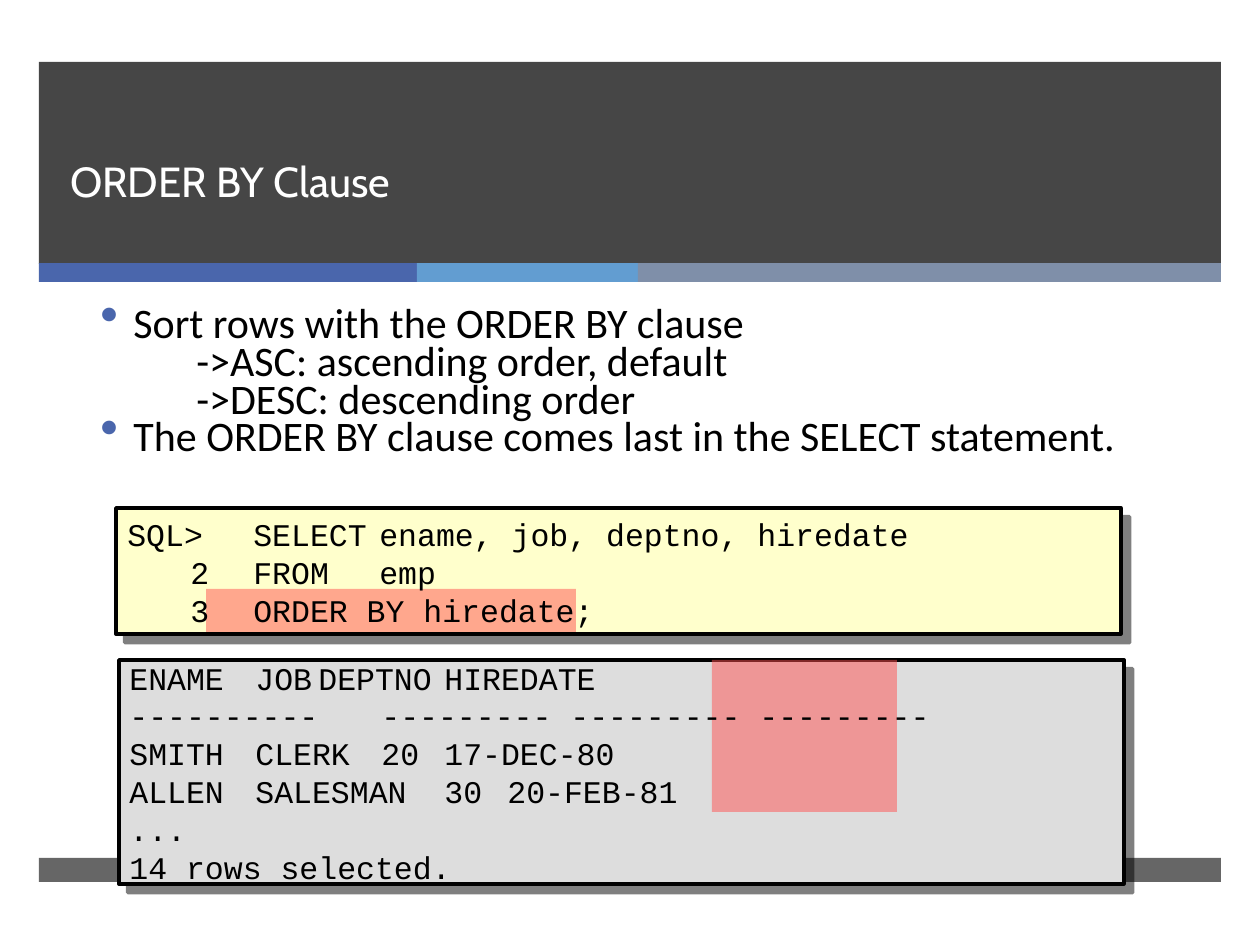
from lxml import etree
from pptx import Presentation
from pptx import util as u
from pptx.dml.color import RGBColor
from pptx.enum import shapes, text
from pptx.oxml.ns import qn

EMU_PER_INCH = 914400
PX_PER_INCH = 126


def px(length):
    return u.Emu(round(length * EMU_PER_INCH / PX_PER_INCH))


def colour(code):
    return RGBColor.from_string(code)


def child(parent, tag, **attributes):
    return etree.SubElement(parent, qn(tag), {k: str(v) for k, v in attributes.items()})


def write(frame, content, font="Calibri", size=24, ink="000000", spacing=None,
          indent=0, bullet=None, tabs=()):
    first = frame.paragraphs[0]
    para = frame.add_paragraph() if first.runs else first
    if spacing:
        para.line_spacing = spacing
    span = para.add_run()
    span.text = content
    span.font.name = font
    span.font.size = u.Pt(size)
    span.font.color.rgb = colour(ink)
    props = para._p.get_or_add_pPr()
    props.set("marL", str(px(indent)))
    props.set("indent", str(px(-33 if bullet else 0)))
    if bullet:
        child(child(props, "a:buClr"), "a:srgbClr", val=bullet)
        child(props, "a:buSzPct", val=125000)
        child(props, "a:buChar", char="•")
    if tabs:
        stops = child(props, "a:tabLst")
        for position, side in tabs:
            child(stops, "a:tab", pos=px(position), algn=side)


class Sheet:
    dark = "262626"
    accents = ("4A66AC", "629DD1", "7F8FA9")
    highlight = "FF5050"
    code_font = "Courier New"

    def __init__(self, deck):
        self.page = deck.slides.add_slide(deck.slide_layouts[6])

    def block(self, left, top, width, height, fill, alpha=None):
        box = self.page.shapes.add_shape(
            shapes.MSO_SHAPE.RECTANGLE, px(left), px(top), px(width), px(height))
        box.shadow.inherit = False
        box.fill.solid()
        box.fill.fore_color.rgb = colour(fill)
        box.line.fill.background()
        if alpha:
            shade = box._element.spPr.find(qn("a:solidFill")).find(qn("a:srgbClr"))
            child(shade, "a:alpha", val=alpha * 1000)
        return box

    def panel(self, left, top, width, height, fill):
        box = self.block(left, top, width, height, fill)
        box.line.color.rgb = colour("000000")
        box.line.width = u.Pt(2)
        effects = box._element.spPr.find(qn("a:effectLst"))
        shadow = child(effects, "a:outerShdw", dist=u.Pt(7.1), dir=45 * 60000,
                       algn="ctr", rotWithShape=0)
        child(child(shadow, "a:srgbClr", val="000000"), "a:alpha", val=50000)

    def frame(self, left, top, width, height, anchor):
        box = self.page.shapes.add_textbox(px(left), px(top), px(width), px(height))
        box.text_frame.word_wrap = True
        box.text_frame.vertical_anchor = anchor
        return box.text_frame

    def code(self, left, top, width, height, lines, tabs):
        frame = self.frame(left, top, width, height, text.MSO_ANCHOR.MIDDLE)
        for line in lines:
            write(frame, line, font=self.code_font, size=18, tabs=tabs)


def main():
    deck = Presentation()
    deck.slide_width, deck.slide_height = px(1260), px(945)
    sheet = Sheet(deck)

    sheet.block(39, 62, 1182, 202, sheet.dark, alpha=85)
    left = 39
    for width, accent in zip((378, 221, 583), sheet.accents):
        sheet.block(left, 263, width, 19, accent)
        left += width
    sheet.block(39, 858, 1182, 24, sheet.dark, alpha=70)

    title = sheet.frame(58, 62, 1076, 150, text.MSO_ANCHOR.BOTTOM)
    write(title, "ORDER BY Clause", font="Cabin", ink="FFFFFF", spacing=u.Pt(46))

    points = sheet.frame(58, 302, 1076, 204, text.MSO_ANCHOR.TOP)
    for content, level in (
            ("Sort rows with the ORDER BY clause", 1),
            ("->ASC: ascending order, default", 2),
            ("->DESC: descending order", 2),
            ("The ORDER BY clause comes last in the SELECT statement.", 1)):
        write(points, content, spacing=0.75, indent=63 * level,
              bullet=sheet.accents[0] if level == 1 else None)

    sheet.panel(116, 508, 1005, 126, "FFFFCC")
    sheet.panel(119, 660, 1005, 224, "DDDDDD")
    sheet.block(206, 589, 370, 43, sheet.highlight, alpha=50)
    sheet.block(712, 660, 185, 152, sheet.highlight, alpha=50)

    sheet.code(115, 507, 1008, 130, (
        "SQL>\tSELECT\tename, job, deptno, hiredate",
        "\t2\tFROM\temp",
        "\t3\tORDER BY hiredate;",
    ), tabs=((57, "r"), (95, "l"), (271, "l")))

    rows = (
        ("ENAME", "JOB", "DEPTNO", "HIREDATE"),
        ("-" * 10, "-" * 9, "-" * 9, "-" * 9),
        ("SMITH", "CLERK", "20", "17-DEC-80"),
        ("ALLEN", "SALESMAN", "30", "20-FEB-81"),
        ("...",),
        ("14 rows selected.",),
    )
    sheet.code(117, 658, 1009, 228, map("\t".join, rows),
               tabs=((208, "l"), (567, "r"), (586, "l")))

    deck.save("out.pptx")


if __name__ == "__main__":
    main()
